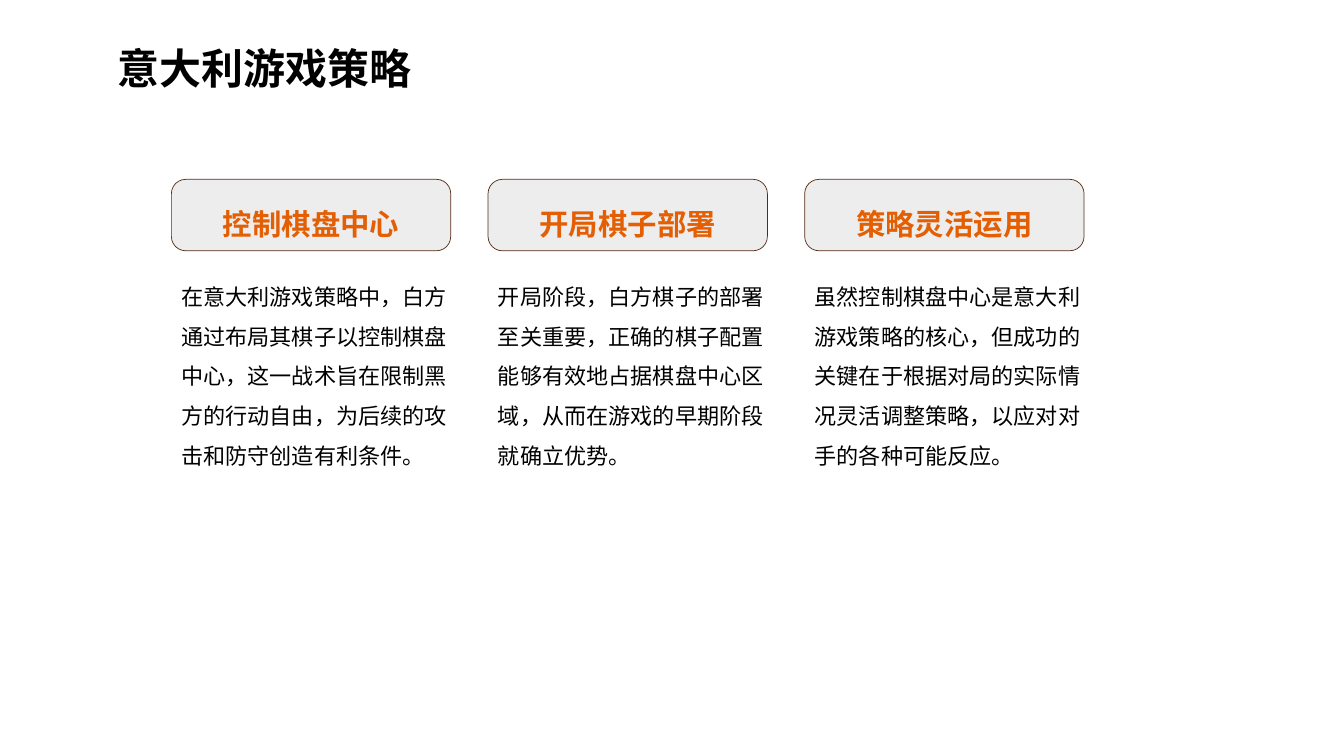
import pptx
import pptx.dml.color
import pptx.enum.shapes
import pptx.enum.text
import pptx.oxml.ns
import pptx.util
from lxml import etree

Cm = pptx.util.Cm
Pt = pptx.util.Pt
FONT = "Noto Sans CJK SC"


def rgb(hex_string):
    return pptx.dml.color.RGBColor.from_string(hex_string)


def write(shape, text, size, color="000000", bold=False, align="LEFT"):
    """Put one paragraph in the shape, in the slide's font and line spacing."""
    frame = shape.text_frame
    frame.word_wrap = True
    frame.auto_size = pptx.enum.text.MSO_AUTO_SIZE.SHAPE_TO_FIT_TEXT
    frame.vertical_anchor = pptx.enum.text.MSO_ANCHOR.MIDDLE
    paragraph = frame.paragraphs[0]
    paragraph.alignment = getattr(pptx.enum.text.PP_ALIGN, align)
    paragraph.line_spacing = 1.5
    run = paragraph.add_run()
    run.text = text
    run.font.size = Pt(size)
    run.font.bold = bold
    run.font.color.rgb = rgb(color)
    run.font.name = FONT
    # Chinese characters take the East Asian typeface
    etree.SubElement(run.font._element, pptx.oxml.ns.qn("a:ea"), typeface=FONT)


presentation = pptx.Presentation()
presentation.slide_width = Cm(33.87)
presentation.slide_height = Cm(19.05)
slide = presentation.slides.add_slide(presentation.slide_layouts[6])

title = slide.shapes.add_textbox(Cm(2.72), Cm(0.3), Cm(26.04), Cm(2.16))
write(title, "意大利游戏策略", 30, bold=True)

strategies = [
    ("控制棋盘中心",
     "在意大利游戏策略中，白方通过布局其棋子以控制棋盘中心，这一战术旨在限制黑方的行动自由，为后续的攻击和防守创造有利条件。"),
    ("开局棋子部署",
     "开局阶段，白方棋子的部署至关重要，正确的棋子配置能够有效地占据棋盘中心区域，从而在游戏的早期阶段就确立优势。"),
    ("策略灵活运用",
     "虽然控制棋盘中心是意大利游戏策略的核心，但成功的关键在于根据对局的实际情况灵活调整策略，以应对对手的各种可能反应。"),
]

for column, (heading_text, description_text) in enumerate(strategies):
    left = Cm(4.32 + 7.98 * column)

    description = slide.shapes.add_textbox(left, Cm(6.68), Cm(7.62), Cm(5.26))
    write(description, description_text, 15.8)

    heading = slide.shapes.add_shape(
        pptx.enum.shapes.MSO_SHAPE.ROUNDED_RECTANGLE, left, Cm(4.52), Cm(7.04), Cm(1.8))
    heading.adjustments[0] = 0.2
    heading.shadow.inherit = False
    heading.fill.solid()
    heading.fill.fore_color.rgb = rgb("EDEDED")
    heading.line.color.rgb = rgb("542C16")
    heading.line.width = Pt(0.5)
    write(heading, heading_text, 21, color="E45E03", bold=True, align="CENTER")

presentation.save("out.pptx")
